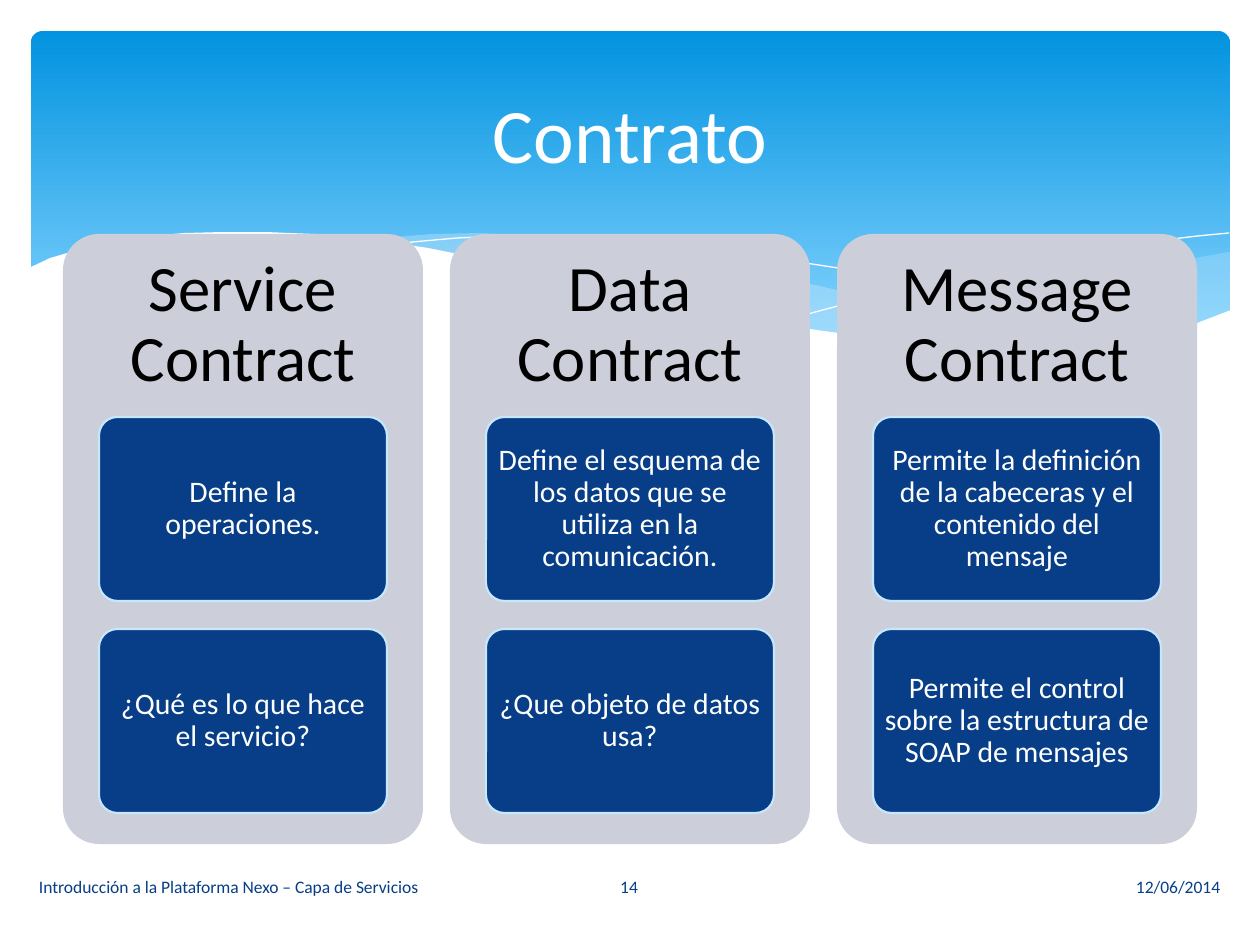
from dataclasses import dataclass

from lxml import etree
from pptx import Presentation
from pptx.dml.color import RGBColor
from pptx.enum.shapes import MSO_SHAPE
from pptx.enum.text import MSO_ANCHOR, PP_ALIGN
from pptx.oxml.ns import qn
from pptx.util import Pt

ROUNDED = MSO_SHAPE.ROUNDED_RECTANGLE
MIDDLE = MSO_ANCHOR.MIDDLE
LEFT, CENTER, RIGHT = PP_ALIGN.LEFT, PP_ALIGN.CENTER, PP_ALIGN.RIGHT
EMU_PER_PIXEL = 914400 / 126


@dataclass(frozen=True)
class Theme:
    """Colours, font and type sizes of the deck."""
    font: str = "Calibri"
    white: str = "FFFFFF"
    black: str = "000000"
    navy: str = "073E87"
    pale_blue: str = "C6E7FC"
    grey: str = "CCCED9"
    sky_top: str = "0293E0"
    sky_bottom: str = "83D3FE"
    title_size: int = 44
    heading_size: int = 37
    card_size: int = 17
    footer_size: int = 10


THEME = Theme()

# Outlines in pixels, measured from the corner of the header band
RIGHT_WAVE = [
    (1198, 221), (1147, 230), (1092, 241), (1054, 250), (983, 268), (918, 281),
    (859, 293), (802, 303), (840, 308), (875, 312), (908, 315), (953, 318),
    (995, 319), (1032, 318), (1068, 314), (1099, 309), (1129, 303), (1156, 295),
    (1182, 287), (1199, 280), (1199, 221)]
CENTER_WAVE = [
    (1094, 313), (1024, 303), (945, 289), (859, 271), (762, 249), (705, 235),
    (651, 225), (602, 216), (555, 210), (498, 205), (448, 202), (402, 203),
    (363, 206), (329, 210), (376, 216), (425, 225), (478, 235), (535, 249),
    (637, 271), (726, 290), (807, 304), (879, 314), (943, 318), (1000, 319),
    (1049, 318)]
FALLING_LINE = [
    (358, 215), (382, 211), (426, 207), (474, 205), (536, 206), (612, 211),
    (670, 217), (735, 226), (807, 237), (885, 254), (971, 273), (1064, 298),
    (1112, 312)]
RISING_LINE = [
    (741, 293), (792, 279), (845, 265), (911, 250), (985, 234), (1060, 220),
    (1116, 211), (1167, 205), (1198, 202)]
WHITE_WAVE = [
    (1200, 279), (1166, 292), (1128, 303), (1087, 310), (1040, 315), (988, 318),
    (928, 315), (861, 309), (785, 299), (699, 284), (603, 263), (532, 246),
    (462, 230), (397, 217), (337, 208), (284, 203), (235, 201), (192, 201),
    (153, 202), (119, 205), (89, 210), (65, 215), (43, 220), (19, 227),
    (-2, 237), (-2, 384), (1200, 384)]

COLUMNS = [
    ("Service Contract",
     ["Define la operaciones.", "¿Qué es lo que hace el servicio?"]),
    ("Data Contract",
     ["Define el esquema de los datos que se utiliza en la comunicación.",
      "¿Que objeto de datos usa?"]),
    ("Message Contract",
     ["Permite la definición de la cabeceras y el contenido del mensaje",
      "Permite\u00a0el control sobre\u00a0la estructura\u00a0de SOAP "
      "de\u00a0mensajes"]),
]


def px(length):
    """Turn pixels into EMU."""
    return round(length * EMU_PER_PIXEL)


def paint(shape, fill=None, line=None, width=1.25, opacity=None):
    """Set fill, outline and opacity, and remove the shadow."""
    shape.shadow.inherit = False
    if fill:
        shape.fill.solid()
        shape.fill.fore_color.rgb = RGBColor.from_string(fill)
    else:
        shape.fill.background()
    if opacity:
        color = shape.fill._xPr.find(".//" + qn("a:srgbClr"))
        etree.SubElement(color, qn("a:alpha")).set("val", str(opacity * 1000))
    if line:
        shape.line.color.rgb = RGBColor.from_string(line)
        shape.line.width = Pt(width)
    else:
        shape.line.fill.background()


def write(shape, text, size, color, align=CENTER, insets=(13, 6), spacing=None):
    """Write one vertically centred paragraph into a shape."""
    frame = shape.text_frame
    frame.word_wrap = True
    frame.vertical_anchor = MIDDLE
    frame.margin_left = frame.margin_right = px(insets[0])
    frame.margin_top = frame.margin_bottom = px(insets[1])
    para = frame.paragraphs[0]
    para.alignment = align
    if spacing:
        para.line_spacing = spacing
    span = para.add_run()
    span.text = text
    span.font.name = THEME.font
    span.font.size = Pt(size)
    span.font.color.rgb = RGBColor.from_string(color)


def add_label(page, box, text, size, color, **layout):
    """Add a text box at the given pixel box."""
    label = page.shapes.add_textbox(*map(px, box))
    write(label, text, size, color, **layout)


def add_panel(page, box, rounding):
    """Add a rounded rectangle at the given pixel box."""
    panel = page.shapes.add_shape(ROUNDED, *map(px, box))
    panel.adjustments[0] = rounding
    return panel


def add_outline(page, origin, points, closed=True, **look):
    """Draw a freeform through points measured from the origin."""
    left, top = origin
    spots = [(left + x, top + y) for x, y in points]
    builder = page.shapes.build_freeform(*spots[0], scale=EMU_PER_PIXEL)
    builder.add_line_segments(spots[1:], close=closed)
    paint(builder.convert_to_shape(), **look)


def add_header(page, box):
    """Draw the gradient band, its waves and the title."""
    left, top, width, height = box
    band = add_panel(page, box, 0.034)
    paint(band)
    band.fill.gradient()
    band.fill.gradient_angle = 270
    stops = zip(band.fill.gradient_stops, (0, 0.9),
                (THEME.sky_top, THEME.sky_bottom))
    for stop, position, color in stops:
        stop.position = position
        stop.color.rgb = RGBColor.from_string(color)

    origin = (left, top)
    add_outline(page, origin, RIGHT_WAVE, fill=THEME.pale_blue, opacity=29)
    add_outline(page, origin, CENTER_WAVE, fill=THEME.pale_blue, opacity=40)
    for points in (FALLING_LINE, RISING_LINE):
        add_outline(page, origin, points, closed=False, line=THEME.white, width=0)
    add_outline(page, origin, WHITE_WAVE, fill=THEME.white)
    add_label(page, (left + 32, top + 16, width - 65, 172), "Contrato",
              THEME.title_size, THEME.white)


def add_column(page, box, heading, cards):
    """Draw one grey column with its heading and stacked cards."""
    left, top, width, height = box
    heading_height, inset, card_height, pitch = 183, 36, 184, 212
    paint(add_panel(page, box, 0.1), THEME.grey)
    add_label(page, (left, top, width, heading_height), heading,
              THEME.heading_size, THEME.black, insets=(19, 19), spacing=0.9)
    for row, text in enumerate(cards):
        card_top = top + heading_height + row * pitch
        card = add_panel(
            page, (left + inset, card_top, width - 2 * inset, card_height), 0.1)
        paint(card, THEME.navy, THEME.pale_blue)
        write(card, text, THEME.card_size, THEME.white,
              insets=(6, 5), spacing=0.9)


def add_footer(page, box):
    """Place the course name, page number and date along one line."""
    left, top, width, height = box
    side, middle = 522, 160
    parts = [
        (left, side, "Introducción a la Plataforma Nexo – Capa de Servicios", LEFT),
        (left + side + 1, middle, "14", CENTER),
        (left + width - side, side, "12/06/2014", RIGHT),
    ]
    for part_left, part_width, text, align in parts:
        add_label(page, (part_left, top, part_width, height), text,
                  THEME.footer_size, THEME.navy, align=align)


def main():
    """Build the deck and save it."""
    deck = Presentation()
    deck.slide_width, deck.slide_height = px(1260), px(945)
    page = deck.slides.add_slide(deck.slide_layouts[6])
    add_header(page, (31, 31, 1199, 340))
    for index, (heading, cards) in enumerate(COLUMNS):
        add_column(page, (63 + index * 387, 234, 360, 610), heading, cards)
    add_footer(page, (26, 862, 1207, 50))
    deck.save("out.pptx")


main()
